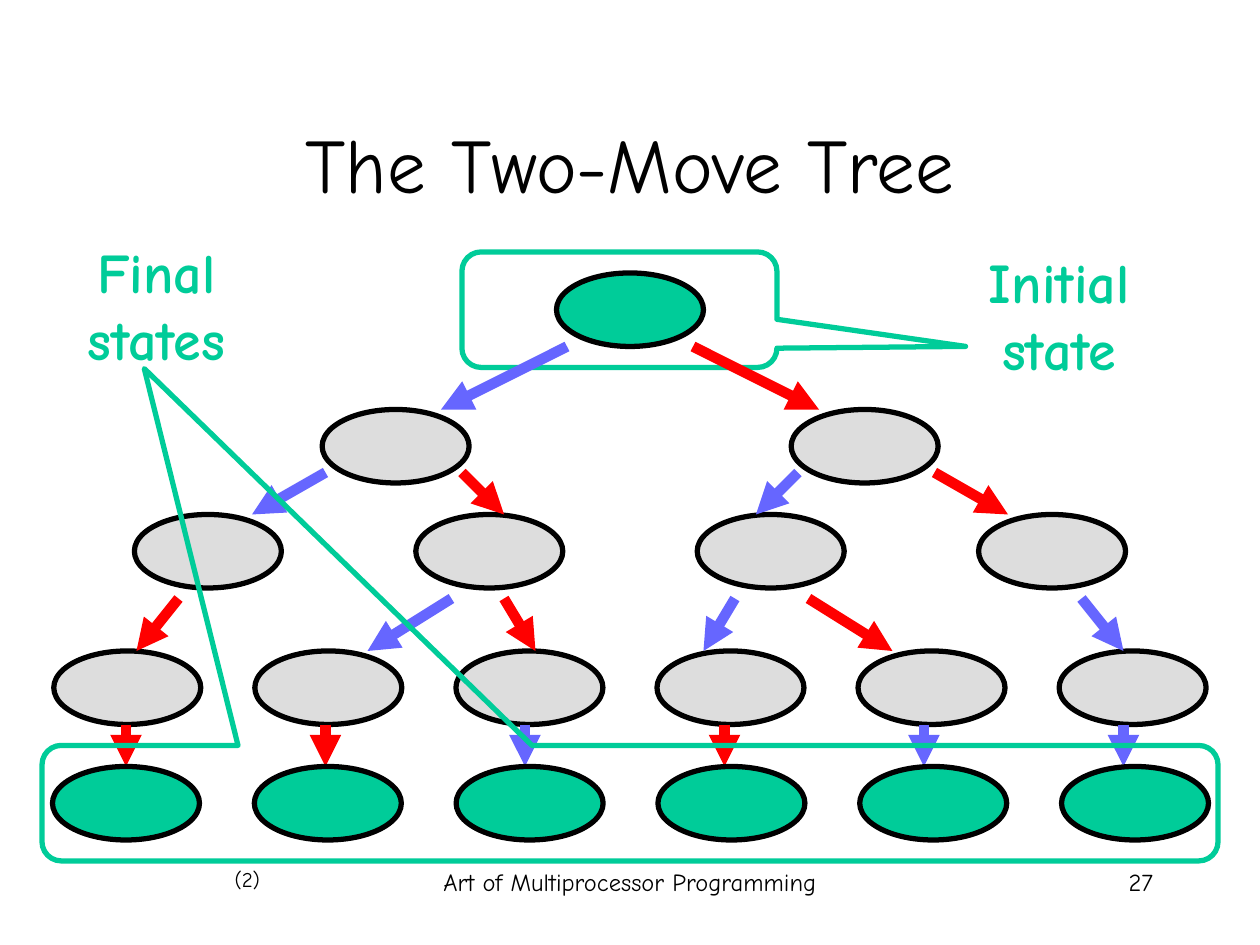
from dataclasses import dataclass

from lxml import etree
from pptx import Presentation
from pptx.dml.color import RGBColor
from pptx.enum import shapes, text
from pptx.oxml import ns
from pptx.util import Inches, Pt


@dataclass(frozen=True)
class Theme:
    """Colours, font and type sizes of the slide."""
    font: str = "Comic Neue"
    ink: str = "000000"
    grey: str = "DDDDDD"
    green: str = "00CC99"
    blue: str = "6666FF"
    red: str = "FF0000"
    head: int = 44
    label: int = 32
    foot: int = 14
    small: int = 12
    edge: int = 3
    move: int = 6


LOOK = Theme()
KIND = shapes.MSO_SHAPE
SIDE = text.PP_ALIGN
COLS, ROWS = 120, 90
NODE = 14, 7
LEVELS = [(30.68, 39, 44.67, 2), (12.8, 49, 26.8, 4), (5.12, 62, 19.15, 6)]
TWINS = [
    (31, 45, 24, 49, LOOK.blue), (44, 45, 48, 49, LOOK.red),
    (17, 57, 13, 62, LOOK.red), (43, 57, 35, 62, LOOK.blue),
]
INNER = [(48, 57, 51, 62, LOOK.red), (70, 57, 67, 62, LOOK.blue)]
LAST = [LOOK.red, LOOK.red, LOOK.blue, LOOK.red, LOOK.blue, LOOK.blue]


def grid(*cells):
    """Turn grid cells of a twelfth of an inch into lengths."""
    return [Inches(cell / 12) for cell in cells]


def paint(slide, kind, box, fill=None, line=LOOK.ink):
    """Draw an outlined preset shape, filled or hollow."""
    item = slide.shapes.add_shape(kind, *grid(*box))
    item.shadow.inherit = False
    if fill:
        item.fill.solid()
        item.fill.fore_color.rgb = RGBColor.from_string(fill)
    else:
        item.fill.background()
    item.line.color.rgb = RGBColor.from_string(line)
    item.line.width = Pt(LOOK.edge)
    return item


def node(slide, left, top, fill):
    """Draw one state of the tree."""
    paint(slide, KIND.OVAL, (left, top, *NODE), fill)


def bubble(slide, box, tip):
    """Draw a hollow callout that points at a grid cell."""
    left, top, wide, high = box
    item = paint(slide, KIND.ROUNDED_RECTANGULAR_CALLOUT, box, line=LOOK.green)
    item.adjustments[0] = (tip[0] - left) / wide - 0.5
    item.adjustments[1] = (tip[1] - top) / high - 0.5
    item.adjustments[2] = 1 / 6


def arrow(slide, left, top, right, low, tone):
    """Draw one move as a thick arrow."""
    item = slide.shapes.add_connector(
        shapes.MSO_CONNECTOR.STRAIGHT, *grid(left, top, right, low))
    item.line.color.rgb = RGBColor.from_string(tone)
    item.line.width = Pt(LOOK.move)
    etree.SubElement(item.line._get_or_add_ln(), ns.qn("a:tailEnd"), type="triangle")
    etree.SubElement(item._element.spPr, ns.qn("a:effectLst"))


def twins(slide, left, top, right, low, tone):
    """Draw a move and its mirror image in the other colour."""
    other = LOOK.red if tone == LOOK.blue else LOOK.blue
    arrow(slide, left, top, right, low, tone)
    arrow(slide, COLS - left, top, COLS - right, low, other)


def write(frame, words, size, side=SIDE.CENTER, tone=LOOK.ink, bold=False):
    """Set the words of a frame and format them."""
    frame.text = words
    para = frame.paragraphs[0]
    para.alignment = side
    font = para.runs[0].font
    font.name, font.size, font.bold = LOOK.font, Pt(size), bold
    font.color.rgb = RGBColor.from_string(tone)


def note(slide, box, words, size, wrap=True, **style):
    """Add a text box."""
    frame = slide.shapes.add_textbox(*grid(*box)).text_frame
    frame.word_wrap = wrap
    write(frame, words, size, **style)


def title(slide, box, words):
    """Place and fill the title placeholder."""
    item = slide.shapes.title
    item.left, item.top, item.width, item.height = grid(*box)
    item.text_frame.vertical_anchor = text.MSO_ANCHOR.MIDDLE
    write(item.text_frame, words, LOOK.head)


def tree(slide):
    """Draw the grey states and the moves below the first."""
    for left, top, step, count in LEVELS:
        for spot in range(count):
            node(slide, left + spot * step, top, LOOK.grey)
    for move in TWINS:
        twins(slide, *move)
    for move in INNER:
        arrow(slide, *move)
    for spot, tone in enumerate(LAST):
        mid = 12 + 19 * spot
        arrow(slide, mid, 69, mid, 73, tone)


def main():
    """Build the slide and save it."""
    deck = Presentation()
    deck.slide_width, deck.slide_height = grid(COLS, ROWS)
    slide = deck.slides.add_slide(deck.slide_layouts[5])
    title(slide, (9, 8, 102, 15), "The Two-Move Tree")
    tree(slide)
    mark = {"tone": LOOK.green, "bold": True}
    bubble(slide, (44, 24, 30, 11), (91.97, 33))
    note(slide, (89, 23, 23.75, 14), "Initial state", LOOK.label, **mark)
    bubble(slide, (4, 71, 112, 11), (13.74, 35.1))
    note(slide, (3, 22, 23.75, 14), "Final states", LOOK.label, **mark)
    node(slide, 53, 26, LOOK.green)
    for spot in range(len(LAST)):
        node(slide, 5 + 19.22 * spot, 73, LOOK.green)
    twins(slide, 54, 33, 42, 39, LOOK.blue)
    note(slide, (21.15, 81.95, 4.8, 3.6), "(2)", LOOK.small, wrap=False, side=SIDE.RIGHT)
    note(slide, (41, 82, 38, 6), "Art of Multiprocessor Programming", LOOK.foot)
    note(slide, (86, 82, 25, 6), "27", LOOK.foot, side=SIDE.RIGHT)
    deck.save("out.pptx")


if __name__ == "__main__":
    main()
